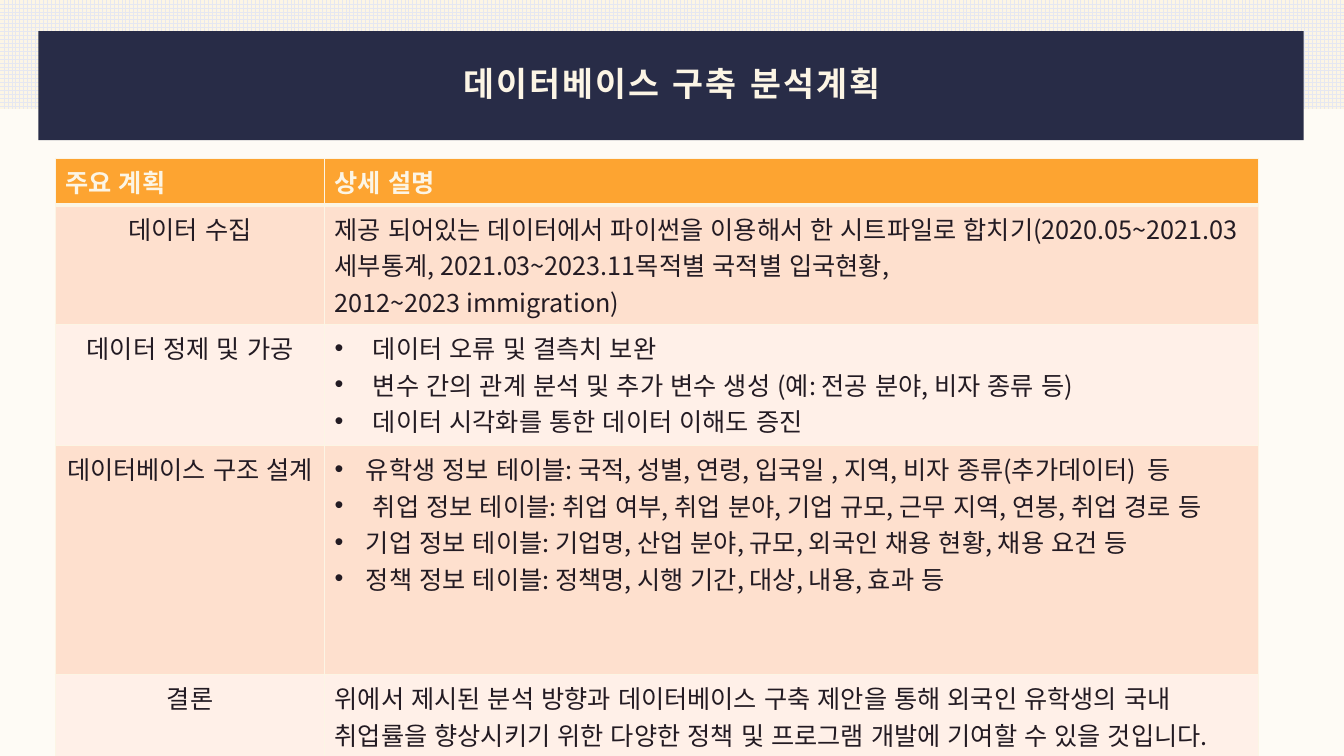
from dataclasses import dataclass

from lxml import etree
from pptx import Presentation
from pptx import util as u
from pptx.dml.color import RGBColor
from pptx.enum import dml, lang, shapes, text
from pptx.oxml.ns import qn


@dataclass(frozen=True)
class Theme:
    paper: str = "FEFBF5"
    cream: str = "FCF5E5"
    grid: str = "E5E7F1"
    navy: str = "282C47"
    orange: str = "FDA431"
    bands: tuple = ("FEE0CE", "FFF0E8")
    ink: str = "231B23"
    title_font: str = "Noto Sans CJK KR"
    body_font: str = "Noto Sans CJK JP"
    title_size: int = 24
    body_size: int = 18


THEME = Theme()
HEADER = ("주요 계획", "상세 설명")

# Each plan: name, row height, bulleted or not, paragraphs
PLANS = [
    ("데이터 수집", 1.18, False, [
        "제공 되어있는 데이터에서 파이썬을 이용해서 한 시트파일로 합치기"
        "(2020.05~2021.03세부통계, 2021.03~2023.11목적별 국적별 입국현황,",
        "2012~2023 immigration)",
    ]),
    ("데이터 정제 및 가공", 1.2, True, [
        " 데이터 오류 및 결측치 보완",
        " 변수 간의 관계 분석 및 추가 변수 생성 (예: 전공 분야, 비자 종류 등)",
        " 데이터 시각화를 통한 데이터 이해도 증진",
    ]),
    ("데이터베이스 구조 설계", 2.26, True, [
        "유학생 정보 테이블: 국적, 성별, 연령, 입국일 , 지역, 비자 종류(추가데이터)  등",
        " 취업 정보 테이블: 취업 여부, 취업 분야, 기업 규모, 근무 지역, 연봉, 취업 경로 등",
        "기업 정보 테이블: 기업명, 산업 분야, 규모, 외국인 채용 현황, 채용 요건 등",
        "정책 정보 테이블: 정책명, 시행 기간, 대상, 내용, 효과 등",
    ]),
    ("결론", 0.83, False, [
        "위에서 제시된 분석 방향과 데이터베이스 구축 제안을 통해 외국인 유학생의 국내 "
        "취업률을 향상시키기 위한 다양한 정책 및 프로그램 개발에 기여할 수 있을 것입니다.",
    ]),
]


def rgb(color):
    return RGBColor.from_string(color)


def add_run(p, words, font, size, color, bold=False):
    r = p.add_run()
    r.text = words
    r.font.name = font
    r.font.size = u.Pt(size)
    r.font.bold = bold
    r.font.color.rgb = rgb(color)
    r.font.language_id = lang.MSO_LANGUAGE_ID.KOREAN
    rpr = r._r.get_or_add_rPr()
    rpr.find(qn("a:latin")).addnext(rpr.makeelement(qn("a:ea"), {"typeface": font}))
    return r


def add_band(slide, left, top, width, height):
    sp = slide.shapes.add_shape(shapes.MSO_SHAPE.RECTANGLE, u.Inches(left),
                                u.Inches(top), u.Inches(width), u.Inches(height))
    sp.shadow.inherit = False
    sp.line.fill.background()
    return sp


def add_backdrop(slide):
    slide.background.fill.solid()
    slide.background.fill.fore_color.rgb = rgb(THEME.paper)
    fill = add_band(slide, 0, 0, 13.33, 1.08).fill
    fill.patterned()
    fill.pattern = dml.MSO_PATTERN.LARGE_GRID
    fill.fore_color.rgb = rgb(THEME.grid)
    fill.back_color.rgb = rgb(THEME.cream)
    fill = add_band(slide, 0.38, 0.31, 12.55, 1.08).fill
    fill.solid()
    fill.fore_color.rgb = rgb(THEME.navy)


def set_title(slide, words):
    sp = slide.shapes.title
    slide.shapes.element.append(sp.element)  # bring in front of the bands
    sp.left, sp.top = u.Inches(0.7), u.Inches(0.53)
    sp.width, sp.height = u.Inches(11.93), u.Inches(0.64)
    tf = sp.text_frame
    tf.vertical_anchor = text.MSO_ANCHOR.MIDDLE
    p = tf.paragraphs[0]
    p.alignment = text.PP_ALIGN.CENTER
    p.line_spacing = 0.9
    r = add_run(p, words, THEME.title_font, THEME.title_size, THEME.cream, True)
    r._r.get_or_add_rPr().set("spc", "150")


def add_bullet(p):
    ppr = p._p.get_or_add_pPr()
    ppr.set("marL", str(u.Inches(0.31)))
    ppr.set("indent", str(u.Inches(-0.31)))
    etree.SubElement(ppr, qn("a:buFont"), typeface="Arial")
    etree.SubElement(ppr, qn("a:buChar"), char="•")


def set_borders(cell, bottom):
    tcpr = cell._tc.get_or_add_tcPr()
    for side, width in (("L", 1), ("R", 1), ("T", 1), ("B", bottom)):
        ln = etree.SubElement(tcpr, qn(f"a:ln{side}"), w=str(u.Pt(width)))
        fill = etree.SubElement(ln, qn("a:solidFill"))
        etree.SubElement(fill, qn("a:srgbClr"), val=THEME.cream)


def fill_cell(cell, lines, fill, color, bold=False, align=None, bullets=False, bottom=1):
    set_borders(cell, bottom)
    cell.fill.solid()
    cell.fill.fore_color.rgb = rgb(fill)
    tf = cell.text_frame
    for i, line in enumerate(lines):
        p = tf.add_paragraph() if i else tf.paragraphs[0]
        p.alignment = align
        if bullets:
            add_bullet(p)
        add_run(p, line, THEME.body_font, THEME.body_size, color, bold)


def add_plan_table(slide):
    heights = [0.46] + [plan[1] for plan in PLANS]
    table = slide.shapes.add_table(len(heights), 2, u.Inches(0.55), u.Inches(1.57),
                                   u.Inches(11.93), u.Inches(sum(heights))).table
    table.horz_banding = False
    for column, width in zip(table.columns, (2.67, 9.26)):
        column.width = u.Inches(width)
    for row, height in zip(table.rows, heights):
        row.height = u.Inches(height)
    # Header row
    for col, label in enumerate(HEADER):
        fill_cell(table.cell(0, col), [label], THEME.orange, THEME.cream,
                  bold=True, bottom=3)
    # Plan rows in alternating tints
    for i, (name, _, bullets, lines) in enumerate(PLANS):
        tint = THEME.bands[i % 2]
        fill_cell(table.cell(i + 1, 0), [name], tint, THEME.ink,
                  align=text.PP_ALIGN.CENTER, bottom=1)
        fill_cell(table.cell(i + 1, 1), lines, tint, THEME.ink, bullets=bullets)


def main():
    prs = Presentation()
    prs.slide_width, prs.slide_height = u.Inches(13.33), u.Inches(7.5)
    slide = prs.slides.add_slide(prs.slide_layouts[5])
    add_backdrop(slide)
    set_title(slide, "데이터베이스 구축 분석계획")
    add_plan_table(slide)
    prs.save("out.pptx")


if __name__ == "__main__":
    main()
